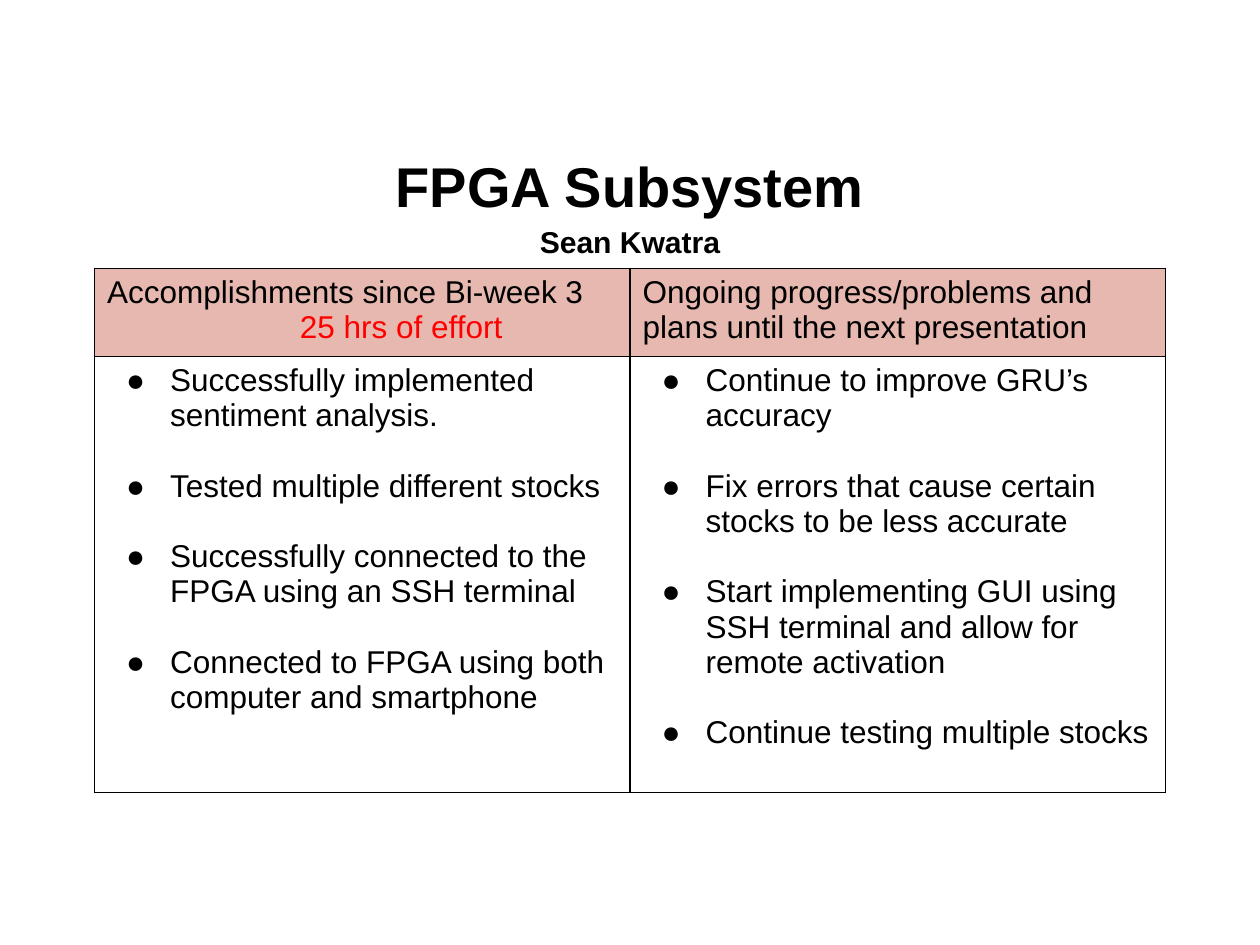
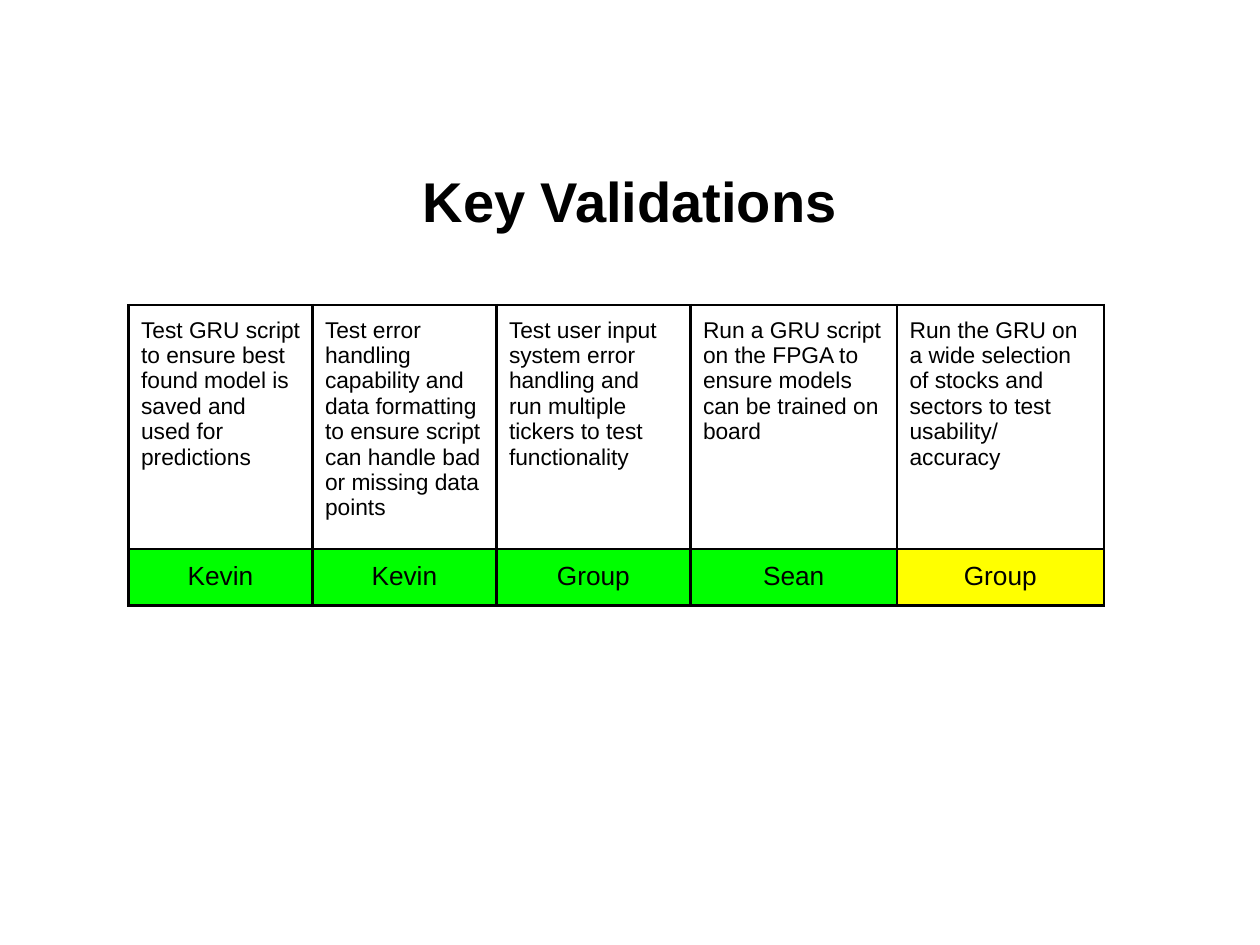
"""Builds a subsystem progress slide and a key validations slide."""
from lxml import etree
from pptx import Presentation
from pptx import util as u
from pptx.dml.color import RGBColor
from pptx.enum import text
from pptx.oxml import ns

BLACK = RGBColor(0x00, 0x00, 0x00)
RED = RGBColor(0xFF, 0x00, 0x00)
ROSE = RGBColor(0xE6, 0xB8, 0xAF)
GREEN = RGBColor(0x00, 0xFF, 0x00)
YELLOW = RGBColor(0xFF, 0xFF, 0x00)
FONT = "Arial"
CENTER = text.PP_ALIGN.CENTER

deck = Presentation()
deck.slide_width, deck.slide_height = u.Inches(10), u.Inches(7.5)
W, H = deck.slide_width, deck.slide_height


def write(paragraph, words, size, color=BLACK, bold=False):
    run = paragraph.add_run()
    run.text = words
    run.font.name, run.font.size, run.font.bold = FONT, u.Pt(size), bold
    run.font.color.rgb = color


def add_grid(slide, left, top, widths, heights, border, inset):
    grid = slide.shapes.add_table(len(heights), len(widths), left, top,
                                  sum(widths), sum(heights)).table
    grid.first_row = grid.horz_banding = False
    for column, width in zip(grid.columns, widths):
        column.width = width
    for row, height in zip(grid.rows, heights):
        row.height = height
    for cell in grid.iter_cells():
        cell.margin_top = cell.margin_bottom = u.Inches(inset)
        edges = cell._tc.get_or_add_tcPr()
        for side in ("a:lnL", "a:lnR", "a:lnT", "a:lnB"):
            line = etree.SubElement(edges, ns.qn(side), w=str(u.Pt(border)))
            solid = etree.SubElement(line, ns.qn("a:solidFill"))
            etree.SubElement(solid, ns.qn("a:srgbClr"), val=str(BLACK))
        cell.fill.background()
    return grid


slides = []
for heading, presenter in (("FPGA Subsystem", "Sean Kwatra"), ("Key Validations", None)):
    slide = deck.slides.add_slide(deck.slide_layouts[6])
    slides.append(slide)
    frame = slide.shapes.add_textbox(int(W * 0.05), u.Inches(1.15),
                                     int(W * 0.9), u.Inches(0.88)).text_frame
    frame.word_wrap = True
    frame.vertical_anchor = text.MSO_ANCHOR.MIDDLE
    title = frame.paragraphs[0]
    title.alignment = CENTER
    write(title, heading, 32, bold=True)
    if presenter:
        byline = frame.add_paragraph()
        byline.alignment = CENTER
        write(byline, presenter, 17.2, bold=True)
        title.line_spacing = byline.line_spacing = 1.15
progress_slide, validation_slide = slides

progress = add_grid(progress_slide, int(W * 0.075), u.Inches(2.13),
                    [int(W * 0.425)] * 2, [u.Inches(0.7), u.Inches(3.46)], 1, 0.05)
topics = (
    ("Accomplishments since Bi-week 3", "25 hrs of effort", (
        "Successfully implemented sentiment analysis.",
        "Tested multiple different stocks",
        "Successfully connected to the FPGA using an SSH terminal",
        "Connected to FPGA using both computer and smartphone")),
    ("Ongoing progress/problems and plans until the next presentation", None, (
        "Continue to improve GRU’s accuracy",
        "Fix errors that cause certain stocks to be less accurate",
        "Start implementing GUI using SSH terminal and allow for remote activation",
        "Continue testing multiple stocks")),
)
for column, (topic, effort, points) in enumerate(topics):
    header, body = progress.cell(0, column), progress.cell(1, column)
    header.fill.solid()
    header.fill.fore_color.rgb = ROSE
    write(header.text_frame.paragraphs[0], topic, 18)
    if effort:
        effort_line = header.text_frame.add_paragraph()
        effort_line._p.get_or_add_pPr().set("marL", str(u.Inches(1.53)))
        write(effort_line, effort, 18, RED)
    for order, point in enumerate(points):
        item = body.text_frame.add_paragraph() if order else body.text_frame.paragraphs[0]
        if order:
            item.space_before = u.Pt(20.1)
        layout = item._p.get_or_add_pPr()
        layout.set("marL", str(u.Inches(0.5)))
        layout.set("indent", str(u.Inches(-0.35)))
        bullet_color = etree.SubElement(layout, ns.qn("a:buClr"))
        etree.SubElement(bullet_color, ns.qn("a:srgbClr"), val=str(BLACK))
        etree.SubElement(layout, ns.qn("a:buFont"), typeface=FONT)
        etree.SubElement(layout, ns.qn("a:buChar"), char="●")
        write(item, point, 18)

validations = (
    (1.46, "Kevin", GREEN, ["Test GRU script to ensure best found model is saved and used for predictions"]),
    (1.46, "Kevin", GREEN, ["Test error handling capability and data formatting to ensure script "
                            "can handle bad or missing data points"]),
    (1.54, "Group", GREEN, ["Test user input system error handling and run multiple tickers "
                            "to test functionality"]),
    (1.64, "Sean", GREEN, ["Run a GRU script on the FPGA to ensure models can be trained on board"]),
    (1.64, "Group", YELLOW, ["Run the GRU on a wide selection of stocks and sectors to test usability/",
                             "accuracy"]),
)
checks = add_grid(validation_slide, u.Inches(1.02), u.Inches(2.42),
                  [u.Inches(width) for width, *_ in validations],
                  [u.Inches(1.81), u.Inches(0.43)], 1.5, 0.1)
for column, (_, owner, status, lines) in enumerate(validations):
    test, assignee = checks.cell(0, column), checks.cell(1, column)
    for order, line in enumerate(lines):
        write(test.text_frame.add_paragraph() if order else test.text_frame.paragraphs[0], line, 13)
    assignee.fill.solid()
    assignee.fill.fore_color.rgb = status
    assignee.text_frame.paragraphs[0].alignment = CENTER
    write(assignee.text_frame.paragraphs[0], owner, 15)

deck.save("out.pptx")
